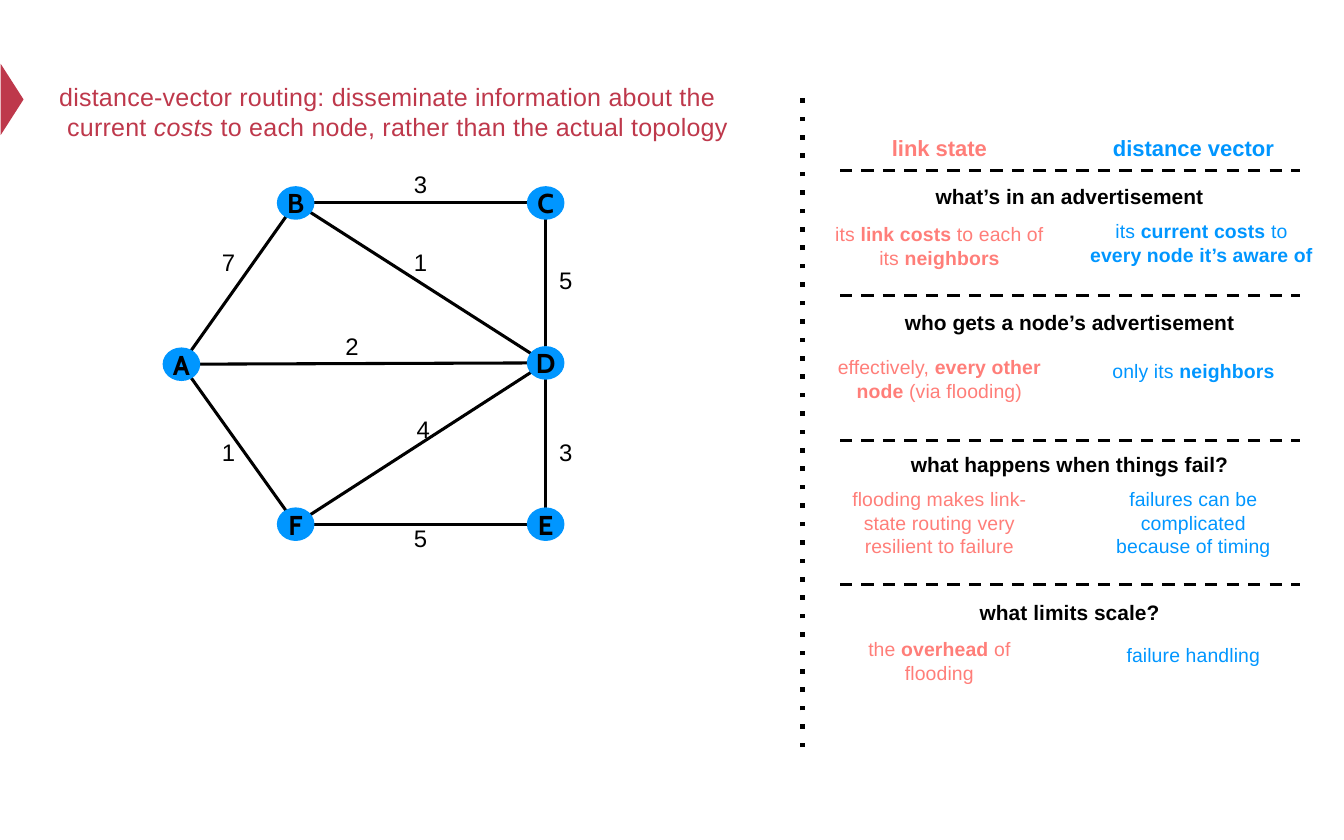
from lxml import etree
from pptx import Presentation
from pptx.dml.color import RGBColor
from pptx.enum.shapes import MSO_CONNECTOR, MSO_SHAPE
from pptx.enum.dml import MSO_LINE
from pptx.enum.text import MSO_ANCHOR, PP_ALIGN
from pptx.oxml.ns import qn
from pptx.util import Inches, Pt

STRAIGHT = MSO_CONNECTOR.STRAIGHT
OVAL, TRIANGLE = MSO_SHAPE.OVAL, MSO_SHAPE.ISOSCELES_TRIANGLE
DASH = MSO_LINE.DASH
MIDDLE, TOP = MSO_ANCHOR.MIDDLE, MSO_ANCHOR.TOP
LEFT, CENTER = PP_ALIGN.LEFT, PP_ALIGN.CENTER

COLORS = {"red": "BE384B", "coral": "FF7E79", "blue": "0096FF", "black": "000000"}

NODES = {"A": (1.35, 2.71), "B": (2.2, 1.51), "C": (4.06, 1.51),
         "D": (4.06, 2.7), "E": (4.06, 3.9), "F": (2.2, 3.9)}
EDGES = [("A", "B", "7", 1.7, 1.95), ("A", "D", "2", 2.62, 2.57),
         ("A", "F", "1", 1.7, 3.36), ("B", "C", "3", 3.13, 1.37),
         ("B", "D", "1", 3.13, 1.95), ("C", "D", "5", 4.21, 2.08),
         ("D", "F", "4", 3.15, 3.19), ("D", "E", "3", 4.21, 3.36),
         ("F", "E", "5", 3.13, 4.0)]

LINK_X, VECTOR_X, TOPIC_X = 6.99, 8.88, 7.96
TOPICS = [
    (1.27, "what’s in an advertisement", 1.36,
     "its *link costs* to each of\nits *neighbors*", 1.65,
     "its *current costs* to\n*every node it’s aware of*", 1.63, 8.94),
    (2.2, "who gets a node’s advertisement", 2.3,
     "effectively, *every other\nnode* (via flooding)", 2.64,
     "only its *neighbors*", 2.67, VECTOR_X),
    (3.28, "what happens when things fail?", 3.36,
     "flooding makes link-\nstate routing very\nresilient to failure", 3.62,
     "failures can be\ncomplicated\nbecause of timing", 3.62, VECTOR_X),
    (4.35, "what limits scale?", 4.46,
     "the *overhead* of\nflooding", 4.74,
     "failure handling", 4.78, VECTOR_X),
]


class SlideBuilder:
    """Draws styled elements on the current slide."""

    def __init__(self, prs):
        self.s = prs.slides.add_slide(prs.slide_layouts[5])

    def color(self, name):
        return RGBColor.from_string(COLORS[name])

    def fill_text(self, sp, text, size, color, font="Arial", align=CENTER,
                  anchor=TOP, emphasis="bold", spacing=0):
        tf = sp.text_frame
        tf.word_wrap = True
        tf.vertical_anchor = anchor
        tf.margin_left = tf.margin_right = tf.margin_top = tf.margin_bottom = 0
        p = tf.paragraphs[0]
        p.alignment = align
        for i, part in enumerate(text.split("*")):
            for j, piece in enumerate(part.split("\n")):
                if j:
                    p.add_line_break()
                if piece:
                    r = p.add_run()
                    r.text = piece
                    r.font.name, r.font.size = font, Pt(size)
                    r.font.color.rgb = self.color(color)
                    if emphasis == "bold":
                        r.font.bold = i % 2 == 1
                    else:
                        r.font.italic = i % 2 == 1
                    r._r.get_or_add_rPr().set("spc", str(spacing))
        return p

    def title(self, text, x, y, w, h):
        sp = self.s.shapes.title
        sp.left, sp.top, sp.width, sp.height = map(Inches, (x, y, w, h))
        p = self.fill_text(sp, text, 13.4, "red", align=LEFT, anchor=MIDDLE,
                           emphasis="italic", spacing=10)
        pPr = p._p.get_or_add_pPr()
        pPr.set("marL", str(Inches(0.06)))
        pPr.set("indent", str(-Inches(0.06)))

    def text(self, text, cx, y, w, h, size, color, anchor=TOP, spacing=0):
        sp = self.s.shapes.add_textbox(*map(Inches, (cx - w / 2, y, w, h)))
        p = self.fill_text(sp, text, size, color, anchor=anchor, spacing=spacing)
        p.line_spacing = 1.02

    def shape(self, kind, cx, cy, w, h, color):
        sp = self.s.shapes.add_shape(
            kind, *map(Inches, (cx - w / 2, cy - h / 2, w, h)))
        sp.shadow.inherit = False
        sp.fill.solid()
        sp.fill.fore_color.rgb = self.color(color)
        sp.line.fill.background()
        return sp

    def node(self, name, cx, cy):
        sp = self.shape(OVAL, cx, cy, 0.28, 0.25, "blue")
        self.fill_text(sp, f"*{name}*", 14.6, "black", font="Cabin", anchor=MIDDLE)

    def line(self, x1, y1, x2, y2, width=1.65, dash=None):
        cxn = self.s.shapes.add_connector(
            STRAIGHT, *map(Inches, (x1, y1, x2, y2)))
        cxn.line.color.rgb = self.color("black")
        cxn.line.width = Pt(width)
        if dash:
            cxn.line.dash_style = DASH
            cxn._element.find(".//" + qn("a:prstDash")).set("val", dash)
        etree.SubElement(cxn._element.spPr, qn("a:effectLst"))


def main():
    prs = Presentation()
    prs.slide_width, prs.slide_height = Inches(10), Inches(6.25)
    b = SlideBuilder(prs)

    b.shape(TRIANGLE, 0.09, 0.74, 0.53, 0.17, "red").rotation = 90
    b.title("distance-vector routing: disseminate information about the\n"
            "current *costs* to each node, rather than the actual topology",
            0.44, 0.59, 5.3, 0.48)

    for start, end, cost, x, y in EDGES:
        b.line(*NODES[start], *NODES[end])
        b.text(cost, x, y - 0.12, 0.2, 0.24, 12.8, "black", anchor=MIDDLE)
    for name, center in NODES.items():
        b.node(name, *center)

    b.line(5.97, 5.56, 5.97, 0.67, 2.47, "dot")
    b.text("*link state*", LINK_X, 1.0, 1.6, 0.2, 11.8, "coral")
    b.text("*distance vector*", VECTOR_X, 1.0, 1.6, 0.2, 11.8, "blue")
    for rule_y, topic, topic_y, link, link_y, vector, vector_y, vector_x in TOPICS:
        b.line(6.25, rule_y, 9.67, rule_y, dash="dash")
        b.text(f"*{topic}*", TOPIC_X, topic_y, 3, 0.2, 11.2, "black", spacing=5)
        b.text(link, LINK_X, link_y, 1.8, 0.5, 10.4, "coral", spacing=5)
        b.text(vector, vector_x, vector_y, 1.8, 0.5, 10.4, "blue", spacing=5)

    prs.save("out.pptx")


if __name__ == "__main__":
    main()
